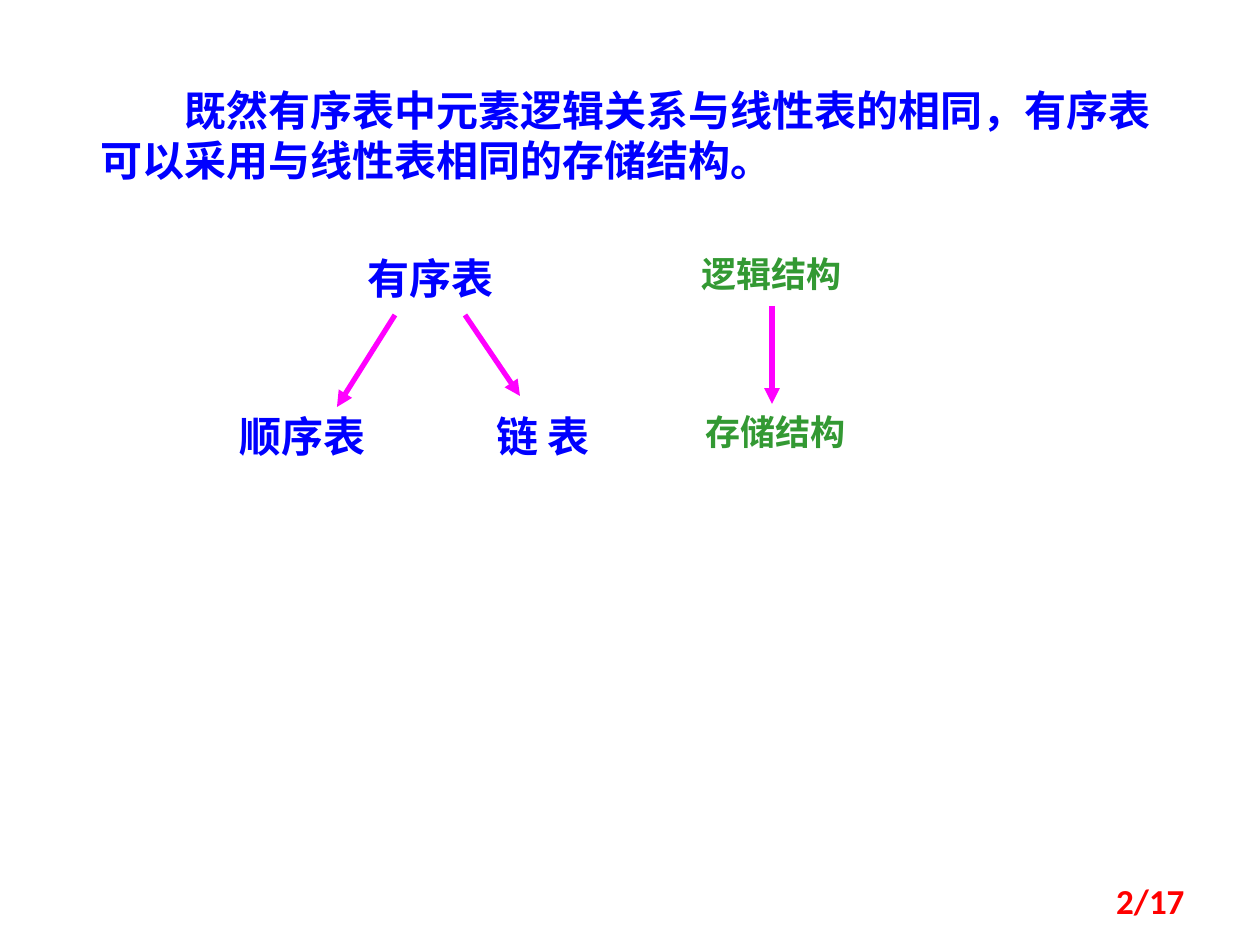
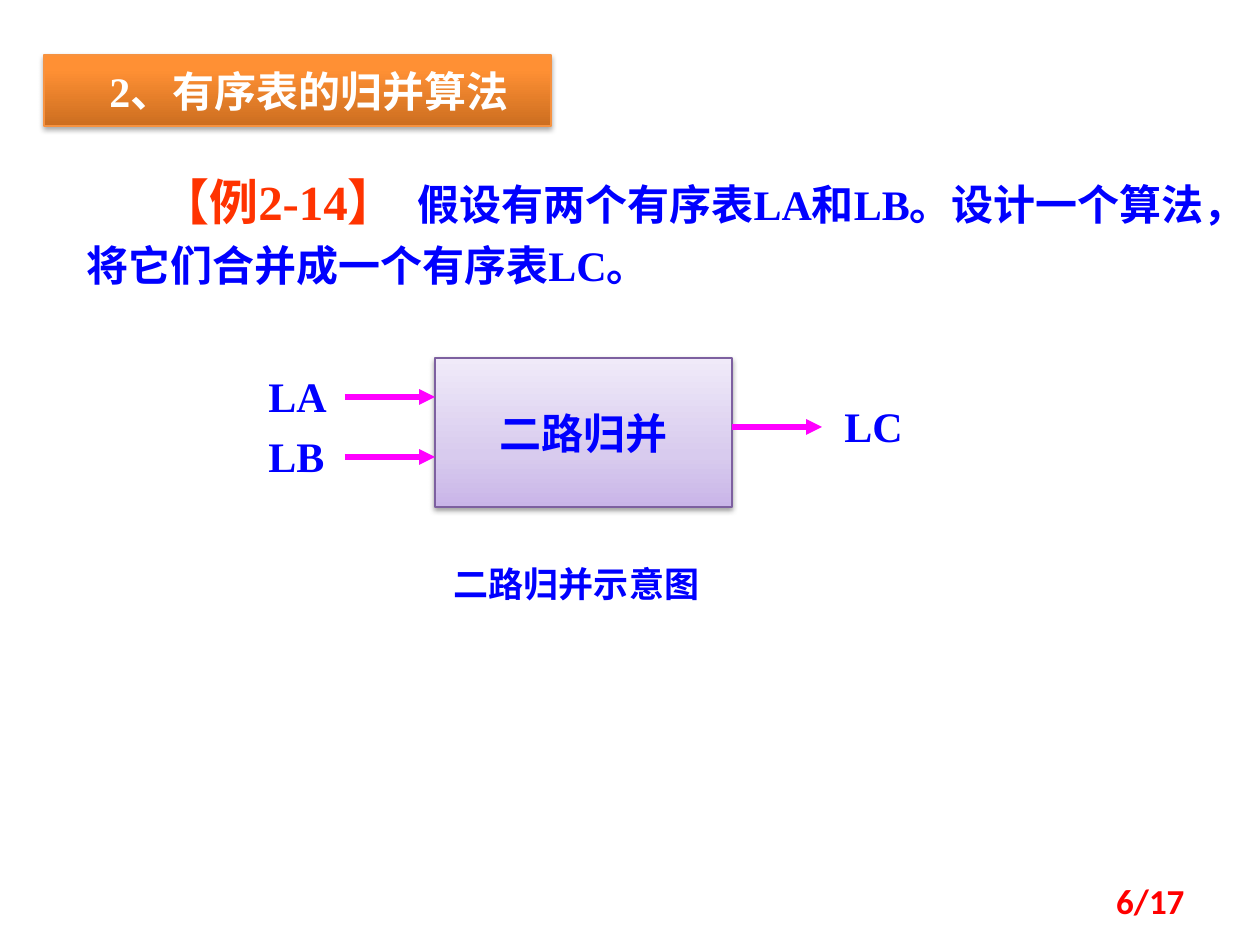
import lxml.etree
import pptx
import pptx.dml.color
import pptx.enum.shapes
import pptx.enum.text
import pptx.oxml.ns
import pptx.util

# Shared scale, colours and fonts
PIXEL = 914400 // 126
BLUE, GREEN, RED, ORANGE_RED = "0000FF", "339933", "FF0000", "FF3300"
WHITE, MAGENTA = "FFFFFF", "FF00FF"
SERIF, SANS, CJK = "Times New Roman", "Calibri", "Noto Sans CJK SC"
PAGE_COUNT = 17
ALIGN = pptx.enum.text.PP_ALIGN
ANCHOR = pptx.enum.text.MSO_ANCHOR


def px(length):
    return pptx.util.Emu(length * PIXEL)


def color(hex_string):
    return pptx.dml.color.RGBColor.from_string(hex_string)


def add_xml(parent, tag, **attributes):
    element = lxml.etree.SubElement(parent, pptx.oxml.ns.qn(tag))
    for name, value in attributes.items():
        element.set(name, str(value))
    return element


def write(shape, spans, align=ALIGN.LEFT, anchor=ANCHOR.TOP, indent=0, spacing=None):
    """Fill a shape with one paragraph; spans are (text, size, colour, font)."""
    frame = shape.text_frame
    frame.word_wrap = True
    frame.vertical_anchor = anchor
    para = frame.paragraphs[0]
    para.alignment = align
    if spacing:
        para.line_spacing = pptx.util.Pt(spacing)
    if indent:
        properties = para._p.get_or_add_pPr()
        properties.set("marL", "0")
        properties.set("indent", str(px(indent)))
    for text, size, hex_string, font in spans:
        span = para.add_run()
        span.text = text
        span.font.size = pptx.util.Pt(size)
        span.font.bold = True
        span.font.name = font
        span.font.color.rgb = color(hex_string)
        add_xml(span._r.get_or_add_rPr(), "a:ea", typeface=CJK)


def add_text(page, left, top, width, height, spans, **layout):
    box = page.shapes.add_textbox(px(left), px(top), px(width), px(height))
    write(box, spans, **layout)


def add_label(page, left, top, width, text, size=24, hex_string=BLUE):
    height = 63 if size == 24 else 54
    add_text(page, left, top, width, height, [(text, size, hex_string, SERIF)])


def add_arrow(page, x1, y1, x2, y2):
    arrow = page.shapes.add_connector(
        pptx.enum.shapes.MSO_CONNECTOR.STRAIGHT, px(x1), px(y1), px(x2), px(y2))
    arrow.line.color.rgb = color(MAGENTA)
    arrow.line.width = pptx.util.Pt(3)
    add_xml(arrow.line._get_or_add_ln(), "a:tailEnd", type="triangle")
    add_xml(arrow._element.spPr, "a:effectLst")


def add_panel(page, left, top, width, height, stops, edge, shadow_alpha):
    """Rectangle with an upward gradient and a soft shadow below."""
    panel = page.shapes.add_shape(
        pptx.enum.shapes.MSO_SHAPE.RECTANGLE, px(left), px(top), px(width), px(height))
    panel.fill.gradient()
    panel.fill.gradient_angle = 90
    properties = panel._element.spPr
    stop_list = properties.find(".//" + pptx.oxml.ns.qn("a:gsLst"))
    for stop in list(stop_list):
        stop_list.remove(stop)
    for percent, hex_string in stops:
        stop = add_xml(stop_list, "a:gs", pos=percent * 1000)
        add_xml(stop, "a:srgbClr", val=hex_string)
    panel.line.color.rgb = color(edge)
    panel.line.width = pptx.util.Pt(0.75)
    panel.shadow.inherit = False
    effects = properties.find(pptx.oxml.ns.qn("a:effectLst"))
    shadow = add_xml(effects, "a:outerShdw", blurRad=pptx.util.Pt(3.1),
                     dist=pptx.util.Pt(1.7), dir=90 * 60000, rotWithShape=0)
    tint = add_xml(shadow, "a:srgbClr", val="000000")
    add_xml(tint, "a:alpha", val=shadow_alpha * 1000)
    return panel


def add_page(deck, number):
    page = deck.slides.add_slide(deck.slide_layouts[6])
    add_text(page, 903, 876, 294, 50, [(f"{number}/{PAGE_COUNT}", 20, RED, SANS)],
             align=ALIGN.RIGHT, anchor=ANCHOR.MIDDLE)
    return page


def build_storage_page(deck):
    page = add_page(deck, 2)
    statement = "既然有序表中元素逻辑关系与线性表的相同，有序表可以采用与线性表相同的存储结构。"
    add_text(page, 88, 78, 1113, 115, [(statement, 24, BLUE, SERIF)], indent=84)

    # Tree of the list and its two forms
    upper, lower = 246, 404
    add_label(page, 355, upper, 258, "有序表")
    add_label(page, 227, lower, 208, "顺序表")
    add_label(page, 484, lower, 149, "链 表")
    add_arrow(page, 395, 315, 337, 407)
    add_arrow(page, 465, 315, 520, 396)

    # Level names beside the tree
    add_label(page, 689, upper, 186, "逻辑结构", 20, GREEN)
    add_label(page, 693, lower, 198, "存储结构", 20, GREEN)
    add_arrow(page, 772, 306, 772, 404)


def build_merge_page(deck):
    page = add_page(deck, 6)

    # Section banner
    banner = add_panel(page, 44, 55, 507, 71,
                       [(0, "CC6E20"), (80, "FF9034"), (100, "FF9136")], "F69240", 35)
    banner.text_frame.margin_top = banner.text_frame.margin_bottom = px(10)
    write(banner, [("2、有序表的归并算法", 24, WHITE, SERIF)], indent=53)

    # Example
    task = " 假设有两个有序表LA和LB。设计一个算法，将它们合并成一个有序表LC。"
    add_text(page, 74, 165, 1160, 132,
             [("【例2-14】 ", 28, ORANGE_RED, SERIF), (task, 24, BLUE, SERIF)],
             indent=74, spacing=34)

    # Merge diagram: two inputs, one output
    left, width, reach = 435, 297, 90
    merge = add_panel(page, left, 358, width, 149,
                      [(0, "C9B5E8"), (35, "D8CBEE"), (100, "F0EAF9")], "7D60A0", 38)
    write(merge, [("二路归并", 24, BLUE, CJK)], align=ALIGN.CENTER, anchor=ANCHOR.MIDDLE)
    for name, y in (("LA", 397), ("LB", 457)):
        add_label(page, 256, y - 33, 129, name)
        add_arrow(page, left - reach, y, left, y)
    right, middle = left + width, 427
    add_arrow(page, right, middle, right + reach, middle)
    add_label(page, 832, middle - 33, 129, "LC")
    add_text(page, 397, 556, 367, 54, [("二路归并示意图 ", 20, BLUE, CJK)],
             align=ALIGN.CENTER)


def main():
    deck = pptx.Presentation()
    deck.slide_width, deck.slide_height = px(1260), px(945)
    build_storage_page(deck)
    build_merge_page(deck)
    deck.save("out.pptx")


main()
